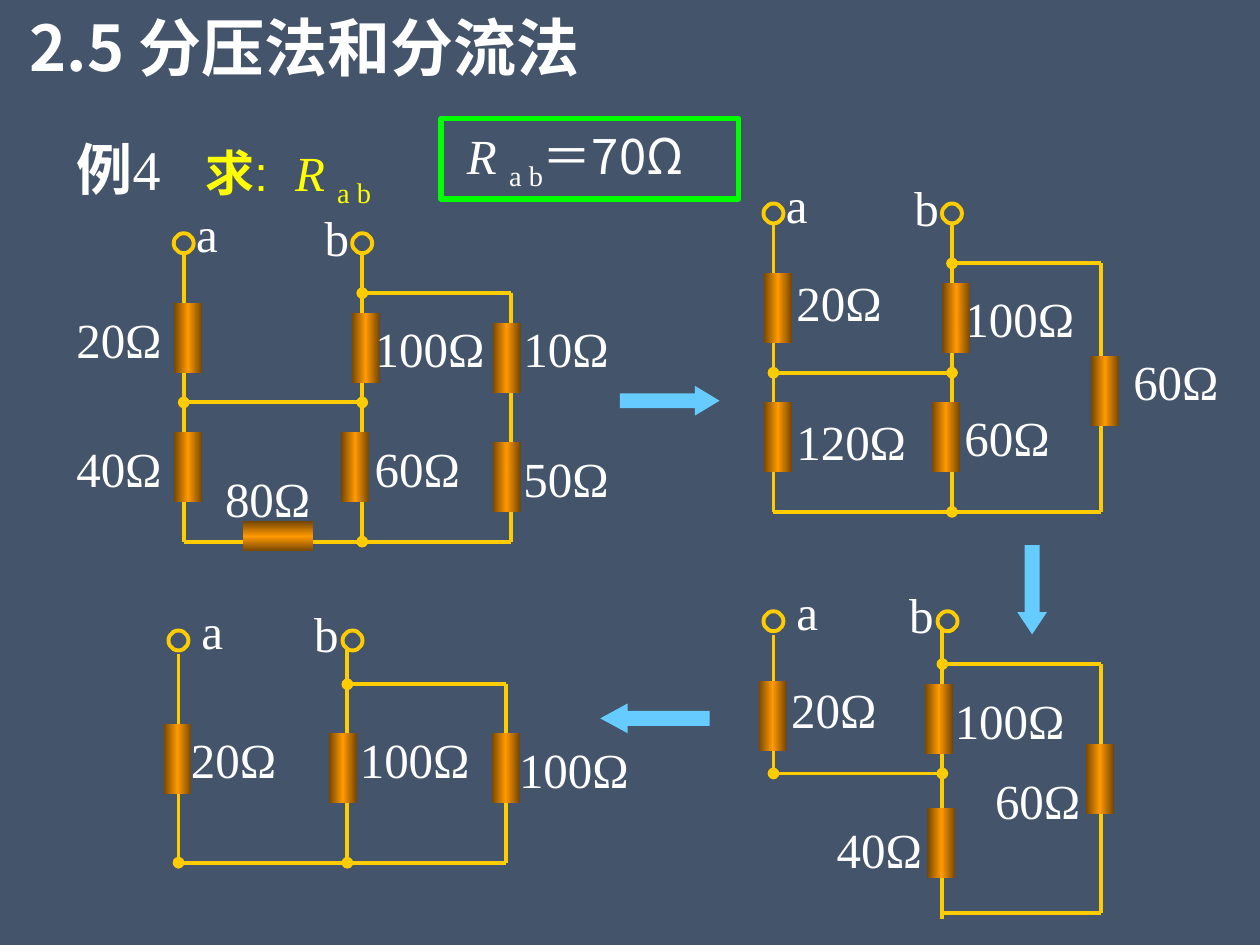
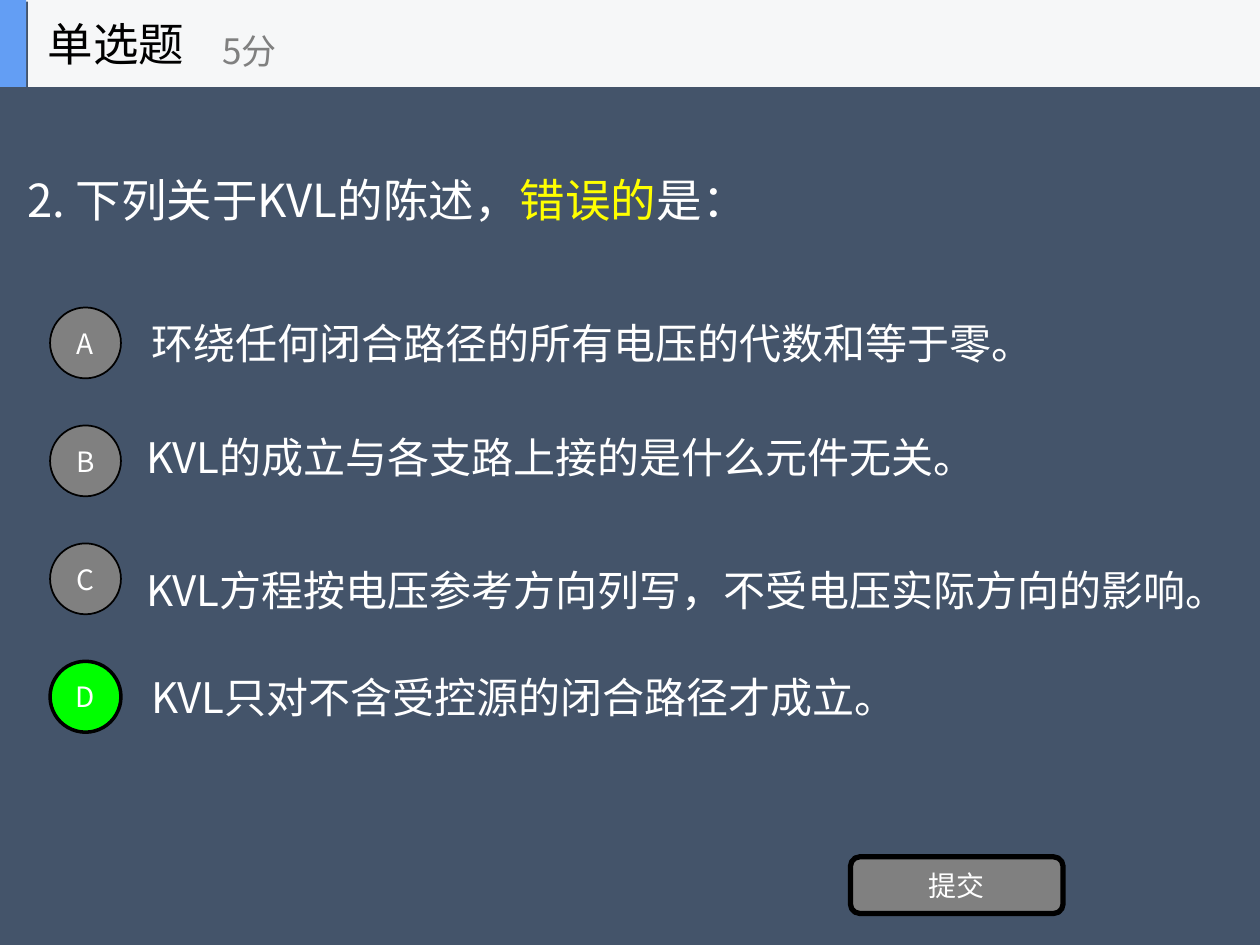
import copy
import pptx
import pptx.util
import pptx.dml.color
import pptx.enum.shapes
import pptx.enum.text
import pptx.oxml.ns
from lxml import etree

Pt = pptx.util.Pt
RGB = pptx.dml.color.RGBColor.from_string
KIND = pptx.enum.shapes.MSO_SHAPE
ALIGN = pptx.enum.text.PP_ALIGN
ANCHOR = pptx.enum.text.MSO_ANCHOR
qn = pptx.oxml.ns.qn

HUES = {
    "back": "44546A", "white": "FFFFFF", "black": "000000", "yellow": "FFFF00",
    "green": "00FF00", "wire": "FFCC00", "arrow": "66CCFF", "glow": "FF9900",
    "edge": "764700", "gray": "808080", "band": "F6F7F8", "blue": "639EF4",
}
SANS, SERIF, ARIAL = "Noto Sans CJK SC", "Times New Roman", "Arial"


def style(font, size=None, hue=None, face=None, bold=None, ital=None, base=None):
    if size:
        font.size = Pt(size)
    if hue:
        font.color.rgb = RGB(HUES[hue])
    if face:
        font.name = face
        etree.SubElement(font._element, qn("a:ea"), typeface=SANS)
    if bold is not None:
        font.bold = bold
    if ital is not None:
        font.italic = ital
    if base:
        font._element.set("baseline", str(base * 1000))


def say(shape, parts, align=ALIGN.LEFT, anchor=ANCHOR.TOP, **look):
    """Write (text, own look) parts as one paragraph with a common look."""
    frame = shape.text_frame
    frame.word_wrap = True
    frame.vertical_anchor = anchor
    para = frame.paragraphs[0]
    para.alignment = align
    style(para.font, **look)
    for text, own in parts:
        run = para.add_run()
        run.text = text
        style(run.font, **own)
    return para


deck = pptx.Presentation()
deck.slide_width, deck.slide_height = Pt(720), Pt(540)
pages = []
for _ in range(2):
    page = deck.slides.add_slide(deck.slide_layouts[6])
    page.background.fill.solid()
    page.background.fill.fore_color.rgb = RGB(HUES["back"])
    pages.append(page.shapes)
main, quiz = pages

# Slide 1: heading and task
box = main.add_textbox(Pt(0), Pt(1), Pt(348.5), Pt(51))
say(box, [("2.5 分压法和分流法", {})], ALIGN.CENTER, ANCHOR.MIDDLE,
    size=36, hue="white", face=SANS, bold=True)

box = main.add_textbox(Pt(36.7), Pt(73.5), Pt(73.5), Pt(45.5))
say(box, [("例", {"bold": True}), ("4", {})], size=32, hue="white", face=SERIF)

box = main.add_textbox(Pt(110.3), Pt(77.8), Pt(119), Pt(41))
say(box, [("求", {"face": ARIAL, "bold": True}), (":  ", {"face": ARIAL}),
          ("R ", {"face": SERIF, "ital": True}), ("a b", {"face": SERIF, "base": -25})],
    size=28, hue="yellow")

# Answer frame: the whole result stays on one line inside it
box = main.add_shape(KIND.RECTANGLE, Pt(252), Pt(67.7), Pt(170), Pt(46))
box.shadow.inherit = False
box.fill.background()
box.line.color.rgb = RGB(HUES["green"])
box.line.width = Pt(3)
frame = box.text_frame
frame.margin_top = frame.margin_bottom = frame.margin_right = 0
say(box, [(" ", {"face": ARIAL}), ("R ", {"face": SERIF, "ital": True}),
          ("a b", {"face": SERIF, "base": -25}), ("＝", {"face": SERIF}),
          ("70Ω", {"face": SANS})], anchor=ANCHOR.MIDDLE, size=28, hue="white")

# Step arrows: left, top, length, turn, head
for left, top, wide, turn, head in [(354.2, 220.5, 57, 0, 0.83),
                                    (564.3, 328.5, 51, 90, 0.75),
                                    (343, 402, 62.5, 180, 0.92)]:
    step = main.add_shape(KIND.RIGHT_ARROW, Pt(left), Pt(top), Pt(wide), Pt(17))
    step.shadow.inherit = False
    step.adjustments[0], step.adjustments[1] = 0.5, head
    step.rotation = turn
    step.fill.solid()
    step.fill.fore_color.rgb = RGB(HUES["arrow"])
    step.line.fill.background()

# Circuits: all places are relative to the centre of terminal a
full = [(0, 6, 0, 170.5, ""), (0, 91, 102, 91, "both"), (102, 28.5, 187, 28.5, "head"),
        (187, 28.5, 187, 170.5, ""), (102, 170.5, 187, 170.5, ""),
        (0, 170.5, 102, 170.5, "tail"), (102, 6, 102, 170.5, "")]
third = [(0, 8, 0, 87, ""), (0, 87, 96.5, 87, "both"), (96.5, 24.5, 187, 24.5, "head"),
         (187, 24.5, 187, 166.5, ""), (96.5, 166.5, 187, 166.5, ""),
         (96.5, 5, 96.5, 170, "")]
last = [(0, 8, 0, 127, ""), (0, 127, 96.5, 127, "both"), (96.5, 25, 187, 25, "head"),
        (187, 25, 187, 127, ""), (96.5, 127, 187, 127, ""), (96.5, 5.5, 96.5, 127, "")]
wide_ab = (102, [("a", 0, -26), ("b", 73.5, -24)])
near_ab = (99.5, [("a", 6, -26.5), ("b", 70.5, -24.5)])

# Resistors: value, bar left and top, label left and top
loads = [
    [("50Ω", 176.5, 113.5, 187, 114), ("10Ω", 176.5, 45.5, 187, 39.5),
     ("100Ω", 96, 40, 102, 39.5), ("60Ω", 90, 108, 102, 108),
     ("40Ω", -5.5, 108, -68.5, 108), ("20Ω", -5.5, 34, -68.5, 34.5),
     ("80Ω", 34, 159, 16.5, 125)],
    [("60Ω", 181.5, 81.5, 198.5, 75.5), ("100Ω", 96.5, 39.5, 102, 39.5),
     ("60Ω", 90.5, 107.5, 102, 107.5), ("120Ω", -5.5, 107.5, 6, 109.5),
     ("20Ω", -5.5, 34, 6, 30)],
    [("60Ω", 178.5, 70, 119.5, 81.5), ("100Ω", 86.5, 36, 96.5, 36),
     ("40Ω", 88, 107, 29, 109.5), ("20Ω", -8.5, 34, 3, 30)],
    [("100Ω", 179, 53, 187.5, 53), ("100Ω", 86, 53, 96.5, 47.5),
     ("20Ω", -8.5, 47.5, 0, 47.5)],
]
nets = [(105, 139, wide_ab, full), (442, 122, wide_ab, full),
        (442, 355, near_ab, third), (102, 366, near_ab, last)]

for (x, y, (gap, names), wires), bars in zip(nets, loads):
    net = main.add_group_shape().shapes
    # Terminals
    for dx in (0, gap):
        ring = net.add_shape(KIND.OVAL, Pt(x + dx - 5.7), Pt(y - 5.7), Pt(11.4), Pt(11.4))
        ring.shadow.inherit = False
        ring.fill.background()
        ring.line.color.rgb = RGB(HUES["wire"])
        ring.line.width = Pt(2.25)
    # Wires with node dots
    for x1, y1, x2, y2, dots in wires:
        wire = net.add_connector(pptx.enum.shapes.MSO_CONNECTOR.STRAIGHT,
                                 Pt(x + x1), Pt(y + y1), Pt(x + x2), Pt(y + y2))
        wire.line.color.rgb = RGB(HUES["wire"])
        wire.line.width = Pt(2.25)
        prop = wire._element.spPr
        for end in ("head", "tail"):
            if dots in (end, "both"):
                etree.SubElement(prop.find(qn("a:ln")), qn(f"a:{end}End"), type="oval")
        etree.SubElement(prop, qn("a:effectLst"))
    # Labels
    for text, dx, dy in names + [(bar[0], *bar[3:]) for bar in bars]:
        width = 28 if text in "ab" else 79
        box = net.add_textbox(Pt(x + dx), Pt(y + dy), Pt(width), Pt(41))
        say(box, [(text, {})], size=28, hue="white", face=SERIF)
    # Resistor bars
    for text, dx, dy, *_ in bars:
        flat = text == "80Ω"
        wide, high = (40, 17) if flat else (16, 40)
        bar = net.add_shape(KIND.RECTANGLE, Pt(x + dx), Pt(y + dy), Pt(wide), Pt(high))
        bar.shadow.inherit = False
        bar.line.fill.background()
        bar.fill.gradient()
        bar.fill.gradient_angle = 90 if flat else 0
        stops = bar._element.spPr.find(qn("a:gradFill")).find(qn("a:gsLst"))
        stops.insert(1, copy.deepcopy(stops[0]))
        for stop, spot, hue in zip(bar.fill.gradient_stops, (0, 0.5, 1),
                                   ("edge", "glow", "edge")):
            stop.position = spot
            stop.color.rgb = RGB(HUES[hue])

# Slide 2: question and answers
box = quiz.add_textbox(Pt(8.6), Pt(57.6), Pt(599), Pt(113))
say(box, [("2. 下列关于KVL的陈述，", {"hue": "white"}), ("错误的", {"hue": "yellow"}),
          ("是：", {"hue": "white"})], anchor=ANCHOR.MIDDLE, size=26, face=SANS)

for text, left, top, wide, high in [
        ("环绕任何闭合路径的所有电压的代数和等于零。", 79.3, 170.6, 528, 50.4),
        ("KVL的成立与各支路上接的是什么元件无关。", 76.5, 235.6, 554, 50.4),
        ("KVL方程按电压参考方向列写，不受电压实际方向的影响。", 76.5, 300.2, 643.5, 67.7),
        ("KVL只对不含受控源的闭合路径才成立。", 79.3, 373.2, 571, 50.4)]:
    box = quiz.add_textbox(Pt(left), Pt(top), Pt(wide), Pt(high))
    para = say(box, [(text, {})], anchor=ANCHOR.MIDDLE, size=24, hue="white", face=SANS)
    if high > 60:
        para.line_spacing = 1.2

# Option buttons, submit button and header band
parts = [(KIND.OVAL, name, 28.6, 175.7 + 67.4 * i, 40.5, 40.5,
          "green" if name == "D" else "gray", 2 if name == "D" else 1)
         for i, name in enumerate("ABCD")]
parts += [(KIND.ROUNDED_RECTANGLE, "提交", 486, 489.6, 121.5, 32.4, "gray", 3),
          (KIND.RECTANGLE, "", 0, 0, 720, 49.7, "band", 0),
          (KIND.RECTANGLE, "", 0, 0, 15, 49.7, "blue", 0)]
for kind, text, left, top, wide, high, hue, edge in parts:
    item = quiz.add_shape(kind, Pt(left), Pt(top), Pt(wide), Pt(high))
    item.fill.solid()
    item.fill.fore_color.rgb = RGB(HUES[hue])
    if edge:
        item.line.color.rgb = RGB(HUES["black"])
        item.line.width = Pt(edge)
    else:
        item.line.fill.background()
    item.shadow.inherit = False
    cast = etree.SubElement(item._element.spPr.find(qn("a:effectLst")), qn("a:outerShdw"),
                            dist=str(Pt(1.4)), dir="2700000")
    etree.SubElement(cast, qn("a:srgbClr"), val=HUES["back"])
    if text:
        item.text_frame.margin_left = item.text_frame.margin_right = 0
        say(item, [(text, {})], ALIGN.CENTER, ANCHOR.MIDDLE, size=16, hue="white", face=SANS)

# Header text
for text, left, top, wide, high, size, hue in [
        ("单选题", 20.2, 0, 150, 49.7, 26, "black"),
        ("5分", 120, 8.6, 180, 40.3, 20, "gray")]:
    box = quiz.add_textbox(Pt(left), Pt(top), Pt(wide), Pt(high))
    say(box, [(text, {})], anchor=ANCHOR.MIDDLE, size=size, hue=hue, face=SANS)

deck.save("out.pptx")
